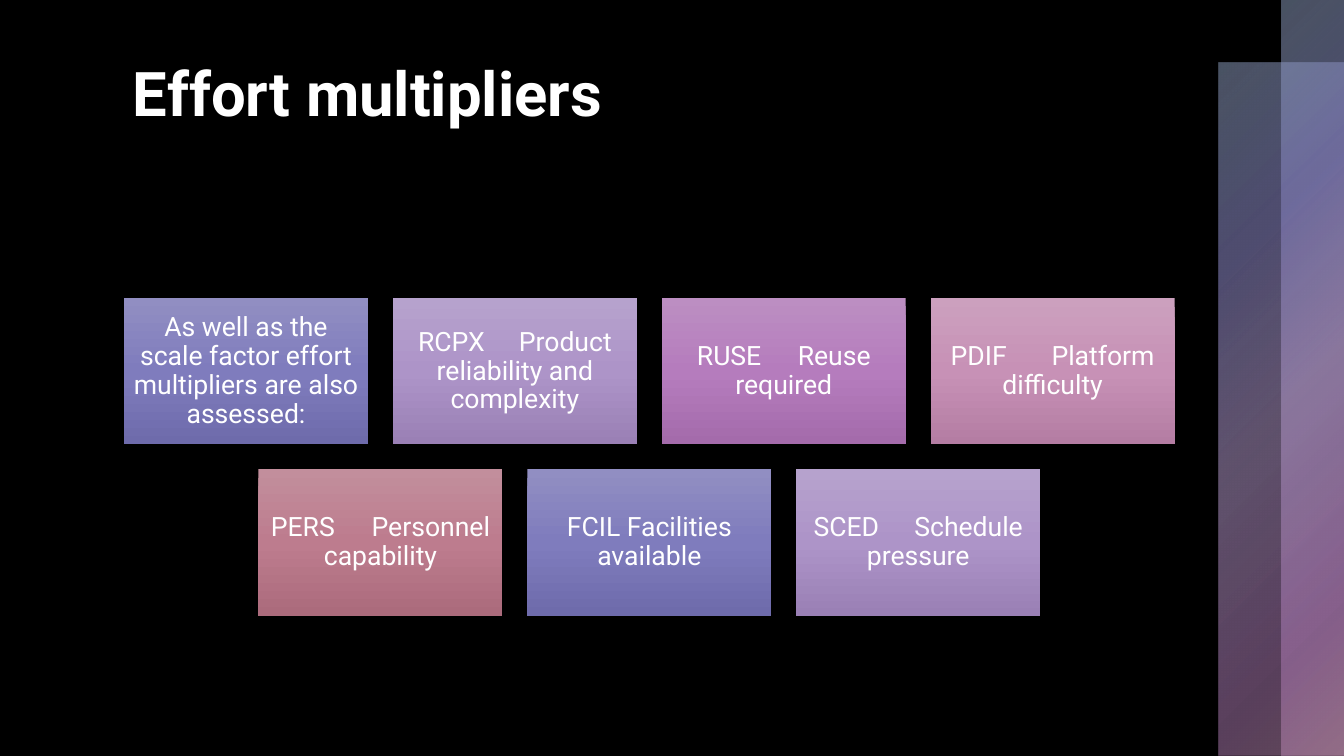
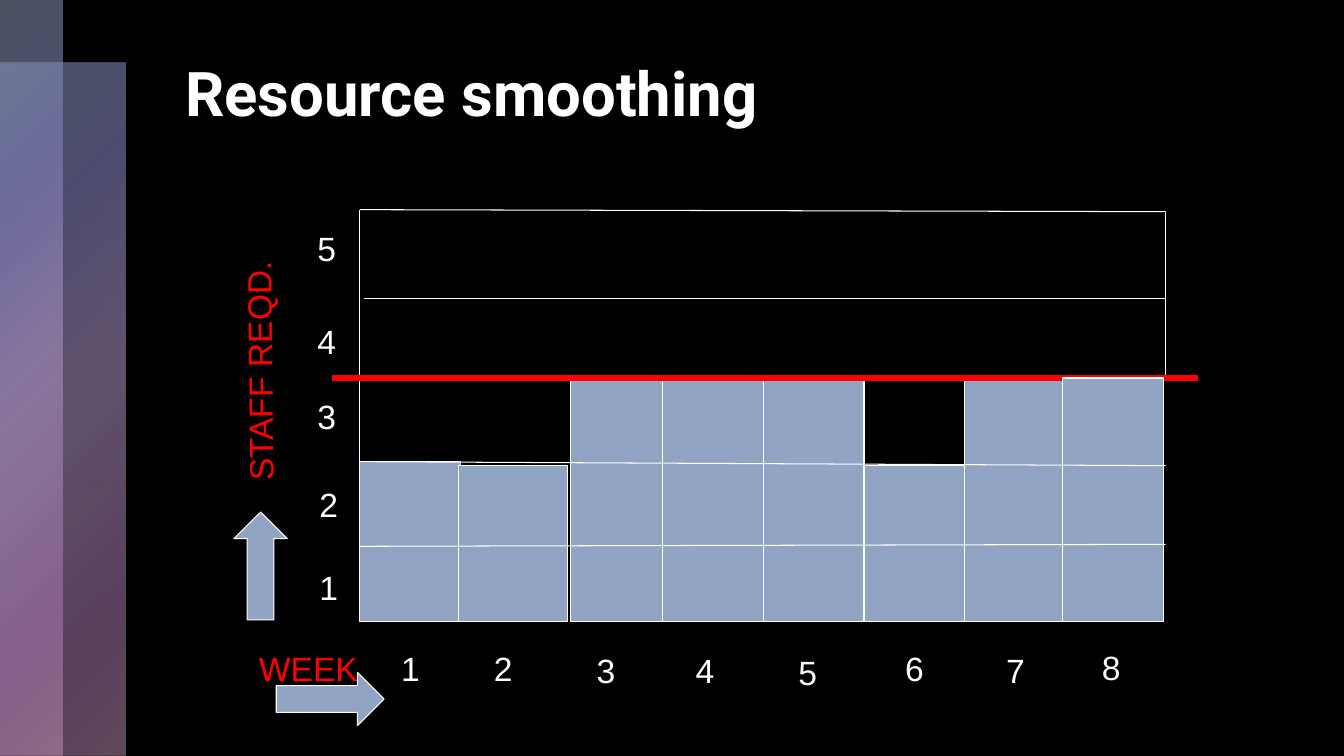
import pptx
import pptx.dml.color
import pptx.enum.shapes
import pptx.enum.text
import pptx.oxml
import pptx.oxml.ns
import pptx.util

Inches = pptx.util.Inches
Pt = pptx.util.Pt
RGBColor = pptx.dml.color.RGBColor
SHAPE = pptx.enum.shapes.MSO_SHAPE
ANCHOR = pptx.enum.text.MSO_ANCHOR
ALIGN = pptx.enum.text.PP_ALIGN
AUTO = pptx.enum.text.MSO_AUTO_SIZE

BLACK = RGBColor(0x00, 0x00, 0x00)
WHITE = RGBColor(0xFF, 0xFF, 0xFF)
RED = RGBColor(0xFF, 0x00, 0x00)
STEEL = RGBColor(0x92, 0xA4, 0xC4)
INDIGO = RGBColor(0x82, 0x7F, 0xBA)
LAVENDER = RGBColor(0xAD, 0x96, 0xC6)
ORCHID = RGBColor(0xB3, 0x7F, 0xBA)
PINK = RGBColor(0xC5, 0x93, 0xB5)

INDIGO_CARD = [RGBColor(0x91, 0x8E, 0xC2), RGBColor(0x7F, 0x7C, 0xBD), RGBColor(0x6E, 0x6B, 0xAB)]
LAVENDER_CARD = [RGBColor(0xB6, 0xA2, 0xCD), RGBColor(0xAD, 0x94, 0xC8), RGBColor(0x9A, 0x80, 0xB5)]
ORCHID_CARD = [RGBColor(0xBC, 0x8E, 0xC2), RGBColor(0xB5, 0x7C, 0xBD), RGBColor(0xA4, 0x6B, 0xAB)]
PINK_CARD = [RGBColor(0xCC, 0xA0, 0xBE), RGBColor(0xC7, 0x91, 0xB6), RGBColor(0xB4, 0x7D, 0xA3)]
ROSE_CARD = [RGBColor(0xC2, 0x8E, 0x9C), RGBColor(0xBD, 0x7C, 0x8E), RGBColor(0xAB, 0x6B, 0x7C)]

SLIDE_W, SLIDE_H = 13.33, 7.5
BAND_W = 0.62

TITLE_FONT = {"name": "Roboto", "size": Pt(44), "bold": True}
CARD_FONT = {"name": "Roboto", "size": Pt(19)}
LABEL_FONT = {"name": "Arial", "size": Pt(24)}
CARD_FRAME = {
    "word_wrap": True,
    "vertical_anchor": ANCHOR.MIDDLE,
    "margin_left": Inches(0.08),
    "margin_right": Inches(0.08),
    "margin_top": Inches(0.08),
    "margin_bottom": Inches(0.08),
}
TITLE_FRAME = {"word_wrap": True, "vertical_anchor": ANCHOR.TOP}
LABEL_FRAME = {"word_wrap": False, "auto_size": AUTO.SHAPE_TO_FIT_TEXT}
SIDE_FRAME = {"word_wrap": True, "auto_size": AUTO.SHAPE_TO_FIT_TEXT}

CARDS_PER_ROW = 4
CARDS = [
    ("As well as the scale factor effort multipliers are also assessed:", INDIGO_CARD),
    ("RCPX\tProduct reliability and complexity", LAVENDER_CARD),
    ("RUSE\tReuse required", ORCHID_CARD),
    ("PDIF\tPlatform difficulty", PINK_CARD),
    ("PERS\tPersonnel capability", ROSE_CARD),
    ("FCIL Facilities available", INDIGO_CARD),
    ("SCED\tSchedule pressure", LAVENDER_CARD),
]

BASE = 4.09
BARS = [
    (0, 2.5, 1),
    (0.98, 2.54, 1.08),
    (2.09, 1.67, 1),
    (3, 1.67, 1),
    (4, 1.67, 1),
    (5, 2.54, 1),
    (6, 1.67, 1),
    (6.97, 1.67, 1),
]
FRAME_LINES = [
    (0.04, 0.88, 7.99, 0.88),
    (0, 0, 7.99, 0.02),
    (0, 2.59, 0, 0),
    (7.99, 1.68, 7.99, 0.02),
]
LEVEL_LINES = [(0, 2.5, 7.99, 2.54), (0, 3.34, 7.99, 3.32)]
WEEKS = [(0.31, 4.3), (1.23, 4.3), (2.25, 4.32), (3.23, 4.32),
         (4.25, 4.34), (5.31, 4.3), (6.31, 4.32), (7.26, 4.29)]
STAFF = [(-0.5, 3.5), (-0.5, 2.67), (-0.52, 1.8), (-0.52, 1.05), (-0.52, 0.13)]


def apply(obj, values):
    for key, value in values.items():
        setattr(obj, key, value)


def write(sp, text, frame, font, color=WHITE, **para):
    tf = sp.text_frame
    apply(tf, frame)
    p = tf.paragraphs[0]
    apply(p, para)
    r = p.add_run()
    r.text = text
    apply(r.font, font)
    r.font.color.rgb = color


def add_text(s, x, y, w, h, *args, **para):
    sp = s.shapes.add_textbox(Inches(x), Inches(y), Inches(w), Inches(h))
    write(sp, *args, **para)
    return sp


def add_block(s, kind, x, y, w, h):
    sp = s.shapes.add_shape(kind, Inches(x), Inches(y), Inches(w), Inches(h))
    sp.shadow.inherit = False
    sp.line.fill.background()
    return sp


def add_steel(s, kind, x, y, w, h):
    sp = add_block(s, kind, x, y, w, h)
    sp.fill.solid()
    sp.fill.fore_color.rgb = STEEL
    sp.line.color.rgb = WHITE
    sp.line.width = Pt(0.75)


def add_line(s, x1, y1, x2, y2, color=WHITE, width=0.75):
    c = s.shapes.add_connector(pptx.enum.shapes.MSO_CONNECTOR.STRAIGHT,
                               Inches(x1), Inches(y1), Inches(x2), Inches(y2))
    c.line.color.rgb = color
    c.line.width = Pt(width)
    c._element.spPr.append(pptx.oxml.parse_xml(
        f'<a:effectLst {pptx.oxml.ns.nsdecls("a")}/>'))


def set_gradient(sp, stops, direction):
    marks = "".join(
        f'<a:gs pos="{pos * 1000}"><a:srgbClr val="{color}">'
        f'<a:alpha val="{alpha * 1000}"/></a:srgbClr></a:gs>'
        for pos, color, alpha in stops)
    grad = pptx.oxml.parse_xml(
        f'<a:gradFill {pptx.oxml.ns.nsdecls("a")} rotWithShape="1">'
        f'<a:gsLst>{marks}</a:gsLst>{direction}</a:gradFill>')
    sp.fill.background()
    spPr = sp._element.spPr
    spPr.replace(spPr.find(pptx.oxml.ns.qn("a:noFill")), grad)


def add_bands(s, on_right):
    for width, top, middle in ((2 * BAND_W, BAND_W, 50), (BAND_W, 0, 49)):
        x = SLIDE_W - width if on_right else 0
        sp = add_block(s, SHAPE.RECTANGLE, x, top, width, SLIDE_H - top)
        stops = [(0, STEEL, 50), (25, INDIGO, 60), (middle, LAVENDER, 55),
                 (81, ORCHID, 50), (99, PINK, 50)]
        set_gradient(sp, stops, '<a:path path="circle">'
                     '<a:fillToRect r="100000" b="100000"/></a:path>')


def add_slide(prs, title, title_x, bands_right):
    s = prs.slides.add_slide(prs.slide_layouts[6])
    s.background.fill.solid()
    s.background.fill.fore_color.rgb = BLACK
    add_bands(s, bands_right)
    add_text(s, title_x, 0.5, 10.37, 1.7, title, TITLE_FRAME, TITLE_FONT)
    return s


def add_cards(s, x, y, w):
    card_w, card_h = 2.42, 1.45
    gap = (w - CARDS_PER_ROW * card_w) / (CARDS_PER_ROW - 1)
    for start in range(0, len(CARDS), CARDS_PER_ROW):
        row = CARDS[start:start + CARDS_PER_ROW]
        row_x = x + (CARDS_PER_ROW - len(row)) * (card_w + gap) / 2
        row_y = y + start // CARDS_PER_ROW * (card_h + gap)
        for i, (text, colors) in enumerate(row):
            sp = add_block(s, SHAPE.RECTANGLE, row_x + i * (card_w + gap), row_y, card_w, card_h)
            stops = [(pos, color, 100) for pos, color in zip((0, 50, 100), colors)]
            set_gradient(sp, stops, '<a:lin ang="5400000" scaled="0"/>')
            write(sp, text, CARD_FRAME, CARD_FONT, alignment=ALIGN.CENTER, line_spacing=0.9)


def add_bar(s, x, y, bar):
    dx, top, width = bar
    add_steel(s, SHAPE.RECTANGLE, x + dx, y + top, width, BASE - top)


def add_lines(s, x, y, lines):
    for x1, y1, x2, y2 in lines:
        add_line(s, x + x1, y + y1, x + x2, y + y2)


def add_numbers(s, x, y, places):
    for number, (dx, dy) in enumerate(places, 1):
        add_text(s, x + dx, y + dy, 0.39, 0.5, str(number), LABEL_FRAME, LABEL_FONT)


def add_axes(s, x, y):
    add_text(s, x - 1.1, y + 4.3, 1.18, 0.5, "WEEK", LABEL_FRAME, LABEL_FONT, RED)
    add_steel(s, SHAPE.RIGHT_ARROW, x - 0.83, y + 4.59, 1.07, 0.53)
    add_numbers(s, x, y, WEEKS)
    sp = add_text(s, x - 2.2, y + 1.34, 2.4, 0.5, "STAFF REQD.", SIDE_FRAME, LABEL_FONT, RED)
    sp.rotation = 269.4
    add_steel(s, SHAPE.UP_ARROW, x - 1.25, y + 3, 0.53, 1.07)
    add_numbers(s, x, y, STAFF)


def add_histogram(s, x, y):
    for bar in BARS[:-1]:
        add_bar(s, x, y, bar)
    add_lines(s, x, y, FRAME_LINES)
    add_line(s, x - 0.28, y + 1.67, x + 8.31, y + 1.67, RED, 4.5)
    add_bar(s, x, y, BARS[-1])
    add_lines(s, x, y, LEVEL_LINES)
    add_axes(s, x, y)


def main():
    prs = pptx.Presentation()
    prs.slide_width = Inches(SLIDE_W)
    prs.slide_height = Inches(SLIDE_H)
    add_cards(add_slide(prs, "Effort multipliers", 1.22, True), 1.23, 2.96, 10.42)
    add_histogram(add_slide(prs, "Resource smoothing", 1.74, False), 3.57, 2.08)
    prs.save("out.pptx")


if __name__ == "__main__":
    main()
